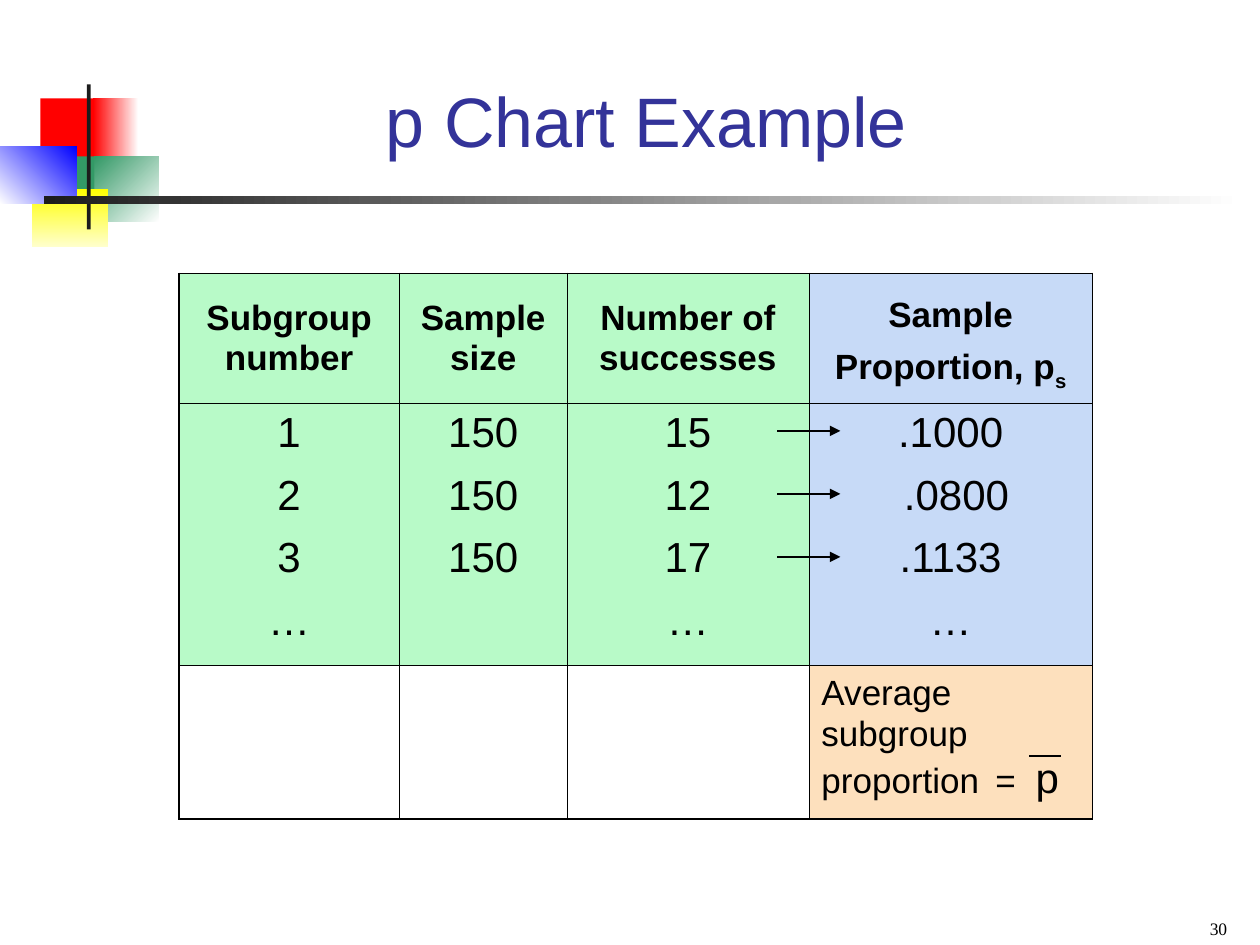
from lxml.etree import SubElement
from pptx import Presentation
from pptx.dml.color import RGBColor
from pptx.enum.shapes import MSO_CONNECTOR, MSO_SHAPE
from pptx.enum.text import MSO_ANCHOR, PP_ALIGN
from pptx.oxml import parse_xml
from pptx.oxml.ns import nsdecls, qn
from pptx.util import Inches, Pt

BLACK = RGBColor(0, 0, 0)
WHITE = RGBColor(255, 255, 255)
CHARCOAL = RGBColor(0x1C, 0x1C, 0x1C)
RED = RGBColor(255, 0, 0)
GREEN = RGBColor(0x33, 0x99, 0x66)
YELLOW = RGBColor(255, 255, 0)
CREAM = RGBColor(255, 255, 0xCC)
BLUE = RGBColor(0, 0, 255)
TITLE_BLUE = RGBColor(0x33, 0x33, 0x99)
MINT = RGBColor(0xB8, 0xFA, 0xC8)
SKY = RGBColor(0xC7, 0xDA, 0xF7)
PEACH = RGBColor(0xFD, 0xE0, 0xBD)

# left, top, width, height, colours, clockwise gradient angle
ORNAMENT = [
    (0.32, 0.78, 0.48, 0.52, [RED], 0),
    (0.74, 0.78, 0.36, 0.52, [WHITE, RED], 180),
    (0.75, 1.24, 0.51, 0.52, [WHITE, GREEN], 225),
    (0.43, 1.24, 0.32, 0.52, [GREEN], 0),
    (0.25, 1.5, 0.61, 0.46, [YELLOW, CREAM], 90),
    (0, 1.16, 0.61, 0.46, [BLUE, WHITE], 135),
    (0.69, 0.67, 0.03, 1.15, [CHARCOAL], 0),
    (0.35, 1.56, 9.51, 0.06, [WHITE, CHARCOAL], 180),
]

COLUMN_WIDTHS = [1.75, 1.33, 1.92, 2.25]
ROW_HEIGHTS = [1.03, 2.08, 1.22]
HEADERS = ["Subgroup number", "Sample size", "Number of successes",
           "Sample Proportion, p"]
SAMPLES = [
    ["1", "2", "3", "…"],
    ["150", "150", "150"],
    ["15", "12", "17", "…"],
    [".1000", " .0800", ".1133", "…"],
]
THIN, THICK = 0.45, 1.08


def add_run(paragraph, text, size, color=BLACK, name="Arial", bold=False):
    run = paragraph.add_run()
    run.text = text
    run.font.color.rgb = color
    formats = {"size": Pt(size), "name": name, "bold": bold}
    for attribute, value in formats.items():
        setattr(run.font, attribute, value)
    return run


def set_frame(frame, anchor):
    formats = {"word_wrap": True, "vertical_anchor": anchor,
               "margin_left": Inches(0.09), "margin_right": Inches(0.09),
               "margin_top": Inches(0.05), "margin_bottom": Inches(0.05)}
    for attribute, value in formats.items():
        setattr(frame, attribute, value)


def add_ornament_block(slide, left, top, width, height, colors, angle):
    block = slide.shapes.add_shape(MSO_SHAPE.RECTANGLE, Inches(left), Inches(top),
                                   Inches(width), Inches(height))
    block.shadow.inherit = False
    block.line.fill.background()
    if len(colors) == 1:
        block.fill.solid()
        block.fill.fore_color.rgb = colors[0]
        return
    block.fill.gradient()
    block.fill.gradient_angle = (360 - angle) % 360  # counted anticlockwise
    for stop, color in zip(block.fill.gradient_stops, colors):
        stop.color.rgb = color


def add_line(slide, left, right, y, width, arrow=False):
    line = slide.shapes.add_connector(MSO_CONNECTOR.STRAIGHT, Inches(left), Inches(y),
                                      Inches(right), Inches(y))
    line.line.color.rgb = BLACK
    line.line.width = Pt(width)
    if arrow:
        SubElement(line.line._get_or_add_ln(), qn("a:tailEnd"), type="triangle")
    SubElement(line._element.spPr, qn("a:effectLst"))


def add_title(slide, text):
    title = slide.shapes.title
    title.left, title.top = Inches(1.26), Inches(0.25)
    title.width, title.height = Inches(7.74), Inches(1.08)
    set_frame(title.text_frame, MSO_ANCHOR.BOTTOM)
    paragraph = title.text_frame.paragraphs[0]
    paragraph.alignment = PP_ALIGN.CENTER
    add_run(paragraph, text, 40, TITLE_BLUE)


def add_slide_number(slide, number):
    box = slide.shapes.add_textbox(Inches(7.5), Inches(7.15), Inches(2.33), Inches(0.35))
    set_frame(box.text_frame, MSO_ANCHOR.BOTTOM)
    paragraph = box.text_frame.paragraphs[0]
    paragraph.alignment = PP_ALIGN.RIGHT
    add_run(paragraph, number, 10, name="Times New Roman")


def set_borders(cell, row, column):
    """Draw thick lines round the table and thin lines inside it."""
    on_edge = {"lnL": column == 0, "lnR": column == len(COLUMN_WIDTHS) - 1,
               "lnT": row == 0, "lnB": row == len(ROW_HEIGHTS) - 1}
    properties = cell._tc.get_or_add_tcPr()
    for position, (side, outer) in enumerate(on_edge.items()):
        width = Pt(THICK if outer else THIN)
        properties.insert(position, parse_xml(
            f'<a:{side} {nsdecls("a")} w="{width}"><a:solidFill>'
            f'<a:srgbClr val="{BLACK}"/></a:solidFill></a:{side}>'))


def set_tabs(paragraph, *positions):
    tabs = SubElement(paragraph._p.get_or_add_pPr(), qn("a:tabLst"))
    for position in positions:
        SubElement(tabs, qn("a:tab"), pos=str(Inches(position)), algn="l")


def fill_cell(cell, color):
    cell.fill.solid()
    cell.fill.fore_color.rgb = color


def write_header(cell, text):
    cell.vertical_anchor = MSO_ANCHOR.MIDDLE
    paragraph = cell.text_frame.paragraphs[0]
    paragraph.alignment = PP_ALIGN.CENTER
    add_run(paragraph, text, 20, bold=True)
    return paragraph


def write_samples(cell, values):
    for index, value in enumerate(values):
        frame = cell.text_frame
        paragraph = frame.add_paragraph() if index else frame.paragraphs[0]
        paragraph.alignment = PP_ALIGN.CENTER
        if index:
            paragraph.space_before = Pt(9)
        add_run(paragraph, value, 24)


def write_average(cell):
    paragraph = cell.text_frame.paragraphs[0]
    paragraph.line_spacing = 1.05
    set_tabs(paragraph, 1.38, 1.7)
    add_run(paragraph, "Average subgroup proportion\t=\t", 20)
    add_run(paragraph, "p", 24)


def add_sample_table(slide):
    table = slide.shapes.add_table(
        len(ROW_HEIGHTS), len(COLUMN_WIDTHS), Inches(1.42), Inches(2.17),
        Inches(sum(COLUMN_WIDTHS)), Inches(sum(ROW_HEIGHTS))).table
    table.first_row = table.horz_banding = False
    for row, height in zip(table.rows, ROW_HEIGHTS):
        row.height = Inches(height)

    last = len(COLUMN_WIDTHS) - 1
    for column, width in enumerate(COLUMN_WIDTHS):
        table.columns[column].width = Inches(width)
        header, samples, summary = (table.cell(row, column) for row in range(3))
        heading = write_header(header, HEADERS[column])
        write_samples(samples, SAMPLES[column])
        for cell in (header, samples):
            fill_cell(cell, SKY if column == last else MINT)
        if column == last:
            heading.line_spacing = 1.3
            subscript = add_run(heading, "s", 20, bold=True)
            subscript.font._element.set("baseline", "-25000")
            fill_cell(summary, PEACH)
            write_average(summary)
        else:
            summary.fill.background()
        for row, cell in enumerate((header, samples, summary)):
            cell.margin_left = cell.margin_right = Inches(0.1)
            set_borders(cell, row, column)


def main():
    presentation = Presentation()
    presentation.slide_width, presentation.slide_height = Inches(10), Inches(7.5)
    slide = presentation.slides.add_slide(presentation.slide_layouts[5])
    for block in ORNAMENT:
        add_ornament_block(slide, *block)
    add_title(slide, "p Chart Example")
    add_sample_table(slide)
    add_line(slide, 8.17, 8.42, 6, 1.5)
    for index in range(3):
        add_line(slide, 6.17, 6.67, 3.42 + 0.5 * index, 0.75, arrow=True)
    add_slide_number(slide, "30")
    presentation.save("out.pptx")


if __name__ == "__main__":
    main()
